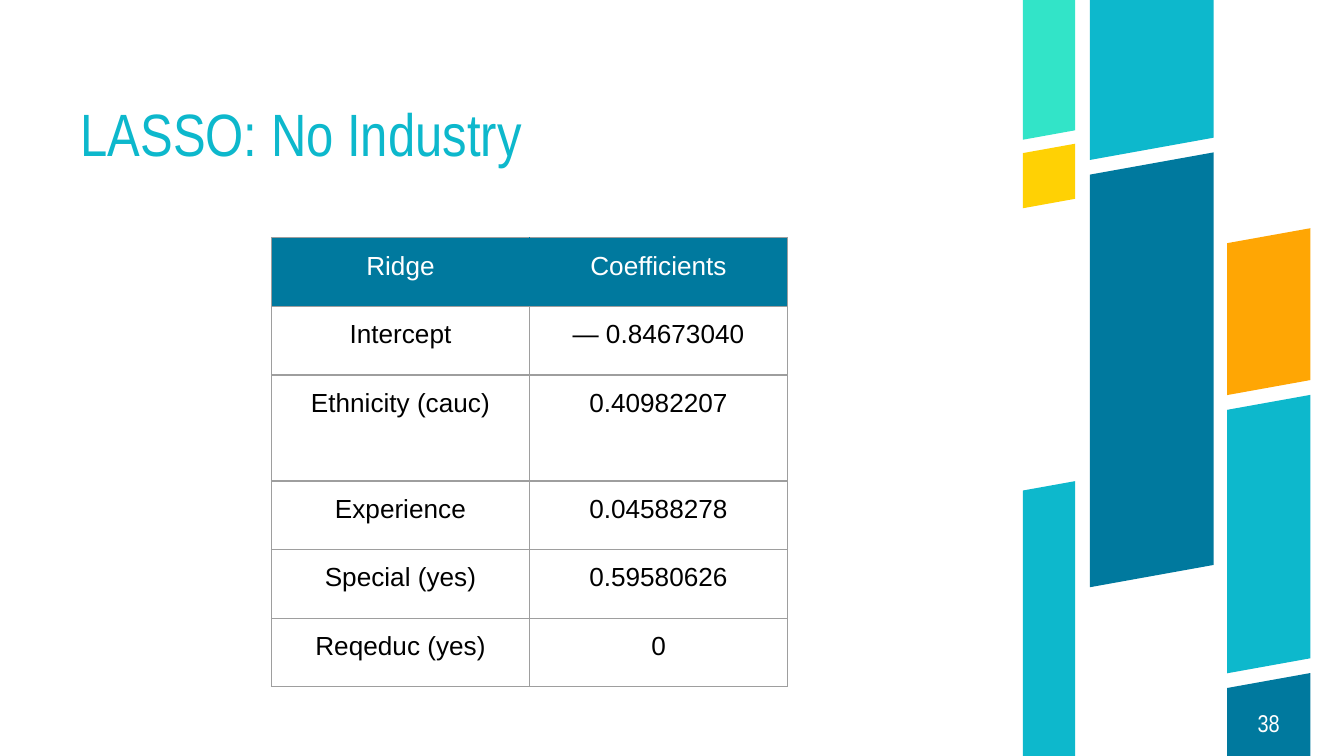
from dataclasses import dataclass

from lxml.etree import SubElement
from pptx import Presentation
from pptx.dml.color import RGBColor
from pptx.enum.text import MSO_ANCHOR, PP_ALIGN
from pptx.oxml.ns import qn
from pptx.slide import Slide
from pptx.table import _Cell
from pptx.text.text import TextFrame
from pptx.util import Inches, Pt

PAGE_WIDTH = 10
PAGE_HEIGHT = PAGE_WIDTH * 9 / 16
SLOPE = 0.18  # rise of each slanted ribbon edge per inch of width

CYAN = RGBColor(0x0D, 0xB8, 0xCC)
YELLOW = RGBColor(0xFF, 0xD1, 0x04)
MINT = RGBColor(0x32, 0xE4, 0xC8)
BLUE = RGBColor(0x00, 0x79, 0x9E)
ORANGE = RGBColor(0xFF, 0xA6, 0x04)
GRAY = RGBColor(0x9E, 0x9E, 0x9E)
BLACK = RGBColor(0x00, 0x00, 0x00)
WHITE = RGBColor(0xFF, 0xFF, 0xFF)


@dataclass(frozen=True)
class Ribbon:
    """A slanted band; top and bottom are measured on its left side."""
    left: float
    width: float
    top: float
    bottom: float
    color: RGBColor


RIBBONS = [
    Ribbon(7.61, 0.39, 3.65, PAGE_HEIGHT, CYAN),
    Ribbon(7.61, 0.39, 1.14, 1.55, YELLOW),
    Ribbon(7.61, 0.39, 0, 1.04, MINT),
    Ribbon(8.11, 0.92, 1.3, 4.37, BLUE),
    Ribbon(8.11, 0.92, 0, 1.19, CYAN),
    Ribbon(9.13, 0.62, 1.81, 2.94, ORANGE),
    Ribbon(9.13, 0.62, 5.12, PAGE_HEIGHT, BLUE),
    Ribbon(9.13, 0.62, 3.05, 5.01, CYAN),
]

ROWS = [
    ("Ridge", "Coefficients"),
    ("Intercept", "— 0.84673040"),
    ("Ethnicity (cauc)", "0.40982207"),
    ("Experience", "0.04588278"),
    ("Special (yes)", "0.59580626"),
    ("Reqeduc (yes)", "0"),
]
ROW_HEIGHTS = [0.51, 0.51, 0.79, 0.51, 0.51, 0.51]
COLUMN_WIDTH = 1.92


def draw_ribbon(page: Slide, ribbon: Ribbon) -> None:
    """Draw a band whose edges slant, except along the page border."""
    def right_height(height: float) -> float:
        on_border = height in (0, PAGE_HEIGHT)
        return height if on_border else height - SLOPE * ribbon.width

    right = ribbon.left + ribbon.width
    corners = [
        (ribbon.left, ribbon.top),
        (right, right_height(ribbon.top)),
        (right, right_height(ribbon.bottom)),
        (ribbon.left, ribbon.bottom),
    ]
    points = [(Inches(x), Inches(y)) for x, y in corners]
    builder = page.shapes.build_freeform(*points[0])
    builder.add_line_segments(points[1:])
    shape = builder.convert_to_shape()
    shape.shadow.inherit = False
    shape.fill.solid()
    shape.fill.fore_color.rgb = ribbon.color
    shape.line.fill.background()


def write_text(frame: TextFrame, text: str, *, size: float, color: RGBColor,
               font: str = "Arial Narrow", align: PP_ALIGN = PP_ALIGN.CENTER,
               spacing: float = 1.0) -> None:
    para = frame.paragraphs[0]
    para.alignment = align
    para.line_spacing = spacing
    span = para.add_run()
    span.text = text
    span.font.size = Pt(size)
    span.font.name = font
    span.font.color.rgb = color


def add_text_box(page: Slide, left: float, top: float, width: float,
                 height: float, anchor: MSO_ANCHOR) -> TextFrame:
    """Add a wrapping box without margins and return its text frame."""
    box = page.shapes.add_textbox(Inches(left), Inches(top), Inches(width), Inches(height))
    frame = box.text_frame
    frame.word_wrap = True
    frame.vertical_anchor = anchor
    frame.margin_left = frame.margin_right = frame.margin_top = frame.margin_bottom = 0
    return frame


def set_border(cell: _Cell, side: str, color: RGBColor) -> None:
    properties = cell._tc.get_or_add_tcPr()
    line = SubElement(properties, qn(f"a:ln{side}"), w=str(Pt(0.75)))
    fill = SubElement(line, qn("a:solidFill"))
    SubElement(fill, qn("a:srgbClr"), val=str(color))


def format_cell(cell: _Cell, text: str, *, header: bool, inner_side: str) -> None:
    for side in "LRTB":
        set_border(cell, side, BLUE if header and side == inner_side else GRAY)
    if header:
        cell.fill.solid()
        cell.fill.fore_color.rgb = BLUE
    else:
        cell.fill.background()
    cell.margin_left = cell.margin_right = Inches(0.1)
    cell.margin_top = cell.margin_bottom = Inches(0.1)
    write_text(cell.text_frame, text, size=14, font="Arial",
               color=WHITE if header else BLACK)


def draw_table(page: Slide) -> None:
    frame = page.shapes.add_table(
        len(ROWS), 2, Inches(2.02), Inches(1.77),
        Inches(2 * COLUMN_WIDTH), Inches(sum(ROW_HEIGHTS)))
    table = frame.table
    table.first_row = table.horz_banding = False
    for column in table.columns:
        column.width = Inches(COLUMN_WIDTH)
    for row_index, (texts, height) in enumerate(zip(ROWS, ROW_HEIGHTS)):
        table.rows[row_index].height = Inches(height)
        for column_index, text in enumerate(texts):
            format_cell(table.cell(row_index, column_index), text,
                        header=row_index == 0, inner_side="RL"[column_index])


def main() -> None:
    deck = Presentation()
    deck.slide_width, deck.slide_height = Inches(PAGE_WIDTH), Inches(PAGE_HEIGHT)
    page = deck.slides.add_slide(deck.slide_layouts[6])
    for ribbon in RIBBONS:
        draw_ribbon(page, ribbon)
    title = add_text_box(page, 0.6, 0.83, 6.68, 0.43, MSO_ANCHOR.BOTTOM)
    write_text(title, "LASSO: No Industry", size=32, color=CYAN,
               align=PP_ALIGN.LEFT, spacing=0.9)
    number = add_text_box(page, 9.13, 5.13, 0.62, 0.5, MSO_ANCHOR.MIDDLE)
    write_text(number, "38", size=13, color=WHITE)
    draw_table(page)
    deck.save("out.pptx")


if __name__ == "__main__":
    main()
